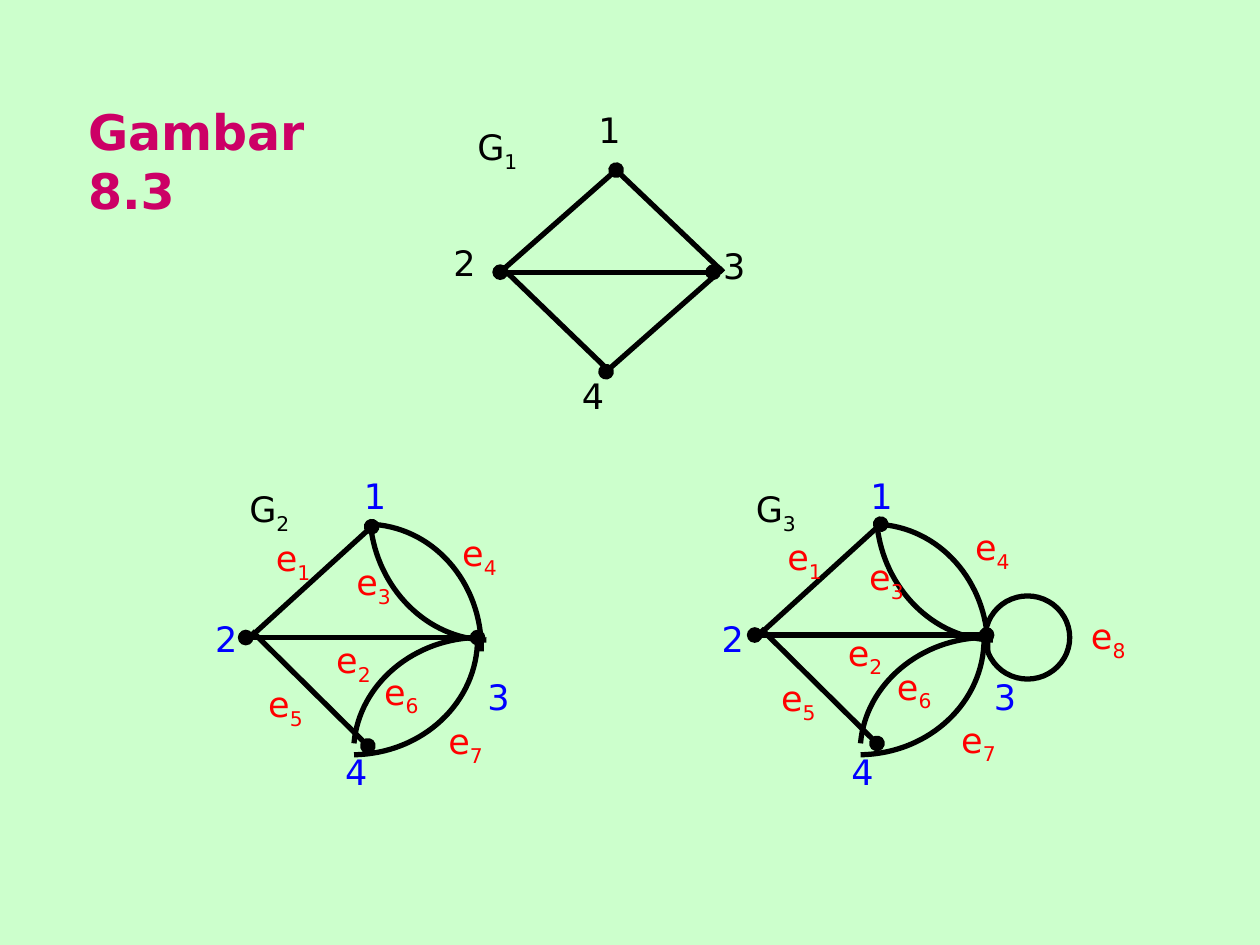
from dataclasses import dataclass

from lxml.etree import SubElement
from pptx import Presentation
from pptx.dml.color import RGBColor
from pptx.enum.shapes import MSO_CONNECTOR, MSO_SHAPE
from pptx.enum.text import MSO_AUTO_SIZE
from pptx.oxml.ns import qn
from pptx.util import Inches, Pt


@dataclass(frozen=True)
class Theme:
    font: str = "DejaVu Sans"
    background: RGBColor = RGBColor(0xCC, 0xFF, 0xCC)
    title: RGBColor = RGBColor(0xCC, 0x00, 0x66)
    ink: RGBColor = RGBColor(0x00, 0x00, 0x00)
    node: RGBColor = RGBColor(0x00, 0x00, 0xFF)
    edge: RGBColor = RGBColor(0xFF, 0x00, 0x00)
    title_size: Pt = Pt(28)
    label_size: Pt = Pt(20)
    stroke: Pt = Pt(3)


theme = Theme()
presentation = Presentation()
presentation.slide_width, presentation.slide_height = Inches(10), Inches(7.5)
slide = presentation.slides.add_slide(presentation.slide_layouts[6])
slide.background.fill.solid()
slide.background.fill.fore_color.rgb = theme.background

# Square grid: 100 columns by 75 rows
CELL = presentation.slide_width // 100


def add_label(shapes, text, col, row, cols, color, subscript="",
              size=theme.label_size, bold=False):
    """Text with its box corner at (col, row), and an optional subscript."""
    box = shapes.add_textbox(*(round(n * CELL) for n in (col, row, cols, 4.4)))
    frame = box.text_frame
    frame.word_wrap = True
    frame.auto_size = MSO_AUTO_SIZE.SHAPE_TO_FIT_TEXT
    for part, baseline in ((text, None), (subscript, "-25000")):
        if part:
            run = frame.paragraphs[0].add_run()
            run.text = part
            run.font.name, run.font.size, run.font.bold = theme.font, size, bold
            run.font.color.rgb = color
            if baseline:
                run.font._element.set("baseline", baseline)


def add_edge(shapes, start, end, dots, shift=(0, 0)):
    """Straight edge; dots names the ends (head, tail) that carry a node."""
    points = [round((n + d) * CELL) for point in (start, end)
              for n, d in zip(point, shift)]
    edge = shapes.add_connector(MSO_CONNECTOR.STRAIGHT, *points)
    edge.line.width = theme.stroke
    edge.line.color.rgb = theme.ink
    for end_name in dots.split():
        SubElement(edge.line._ln, qn(f"a:{end_name}End"), type="oval")
    SubElement(edge._element.spPr, qn("a:effectLst"))


# Graph G1: a plain diamond with one diagonal
diamond = slide.shapes.add_group_shape().shapes
for start, end, dots in (
    ((48.9, 13.5), (39.7, 21.6), ""),
    ((57.4, 21.3), (48.1, 29.5), "tail"),
    ((48.9, 13.5), (57.4, 21.6), "head"),
    ((39.8, 21.2), (48.3, 29.4), ""),
    ((39.7, 21.6), (56.6, 21.6), "head tail"),
):
    add_edge(diamond, start, end, dots)
add_label(diamond, "G", 36.9, 9.5, 7.4, theme.ink, "1")
for number, col, row in (("1", 46.5, 8.1), ("2", 35, 18.7),
                         ("3", 56.4, 18.9), ("4", 45.2, 29.2)):
    add_label(diamond, number, col, row, 4.6, theme.ink)

# Shared parts of the multigraphs, placed for G2
multi_edges = (
    ((29.5, 41.8), (19.5, 50.9), "head"),
    ((20, 50.1), (29.2, 59.2), "tail"),
    ((19.5, 50.6), (37.9, 50.6), "head tail"),
)
curves = (
    ((38.1, 50.6), (32.9, 50.6), (28.5, 54.3), (28.1, 59)),
    ((38.2, 51.7), (38.3, 46.2), (34.3, 41.7), (29.2, 41.6)),
    ((28.1, 59.9), (33.6, 59.8), (37.9, 55.7), (37.9, 50.7)),
    ((29.4, 41.6), (29.9, 46.7), (33.9, 50.7), (38.6, 50.8)),
)
multi_nodes = (("1", 27.9, 37.2), ("2", 16.1, 48.5),
               ("3", 37.7, 53.1), ("4", 26.4, 59.1))
edge_names = {
    "2": (("1", 20.9, 42.1), ("2", 25.7, 50.2), ("3", 27.3, 44), ("4", 35.7, 41.7),
          ("5", 20.3, 53.7), ("6", 29.5, 52.7), ("7", 34.6, 56.6)),
    "3": (("1", 61.5, 42), ("2", 66.3, 49.6), ("3", 68, 43.6), ("4", 76.4, 41.2),
          ("5", 61, 53.2), ("6", 70.2, 52.3), ("7", 75.3, 56.5), ("8", 85.6, 48.3)),
}

# Graphs G3 and G2: the same multigraph, G3 with an added loop
for graph, shift, edge_shift in (("3", 40.2, (40.4, -0.2)), ("2", 0, (0, 0))):
    multigraph = slide.shapes.add_group_shape().shapes
    for start, end, dots in multi_edges:
        add_edge(multigraph, start, end, dots, edge_shift)

    # Parallel edges: each outline's three segments become one Bézier curve
    for curve in curves:
        first, *controls = [(round((col + shift) * CELL), round(row * CELL))
                            for col, row in curve]
        outline = multigraph.build_freeform(*first)
        outline.add_line_segments(controls, close=False)
        arc = outline.convert_to_shape()
        arc.shadow.inherit = False
        arc.fill.background()
        arc.line.width = theme.stroke
        arc.line.color.rgb = theme.ink
        segments = list(arc._element.iter(qn("a:lnTo")))
        bezier = SubElement(segments[0].getparent(), qn("a:cubicBezTo"))
        for segment in segments:
            bezier.append(segment[0])
            segment.getparent().remove(segment)

    if graph == "3":
        loop = multigraph.add_shape(
            MSO_SHAPE.OVAL, *(round(n * CELL) for n in (78.2, 47.3, 6.7, 6.6)))
        loop.shadow.inherit = False
        loop.fill.background()
        loop.line.width = theme.stroke
        loop.line.color.rgb = theme.ink

    # Graph, node and edge names
    add_label(multigraph, "G", 18.8 + shift, 38.2, 10.1, theme.ink, graph)
    for number, col, row in multi_nodes:
        add_label(multigraph, number, col + shift, row, 5, theme.node)
    for number, col, row in edge_names[graph]:
        add_label(multigraph, "e", col, row, 5.9, theme.edge, number)

# Title
add_label(slide.shapes, "Gambar 8.3", 6, 7.6, 24.1, theme.title,
          size=theme.title_size, bold=True)

presentation.save("out.pptx")
